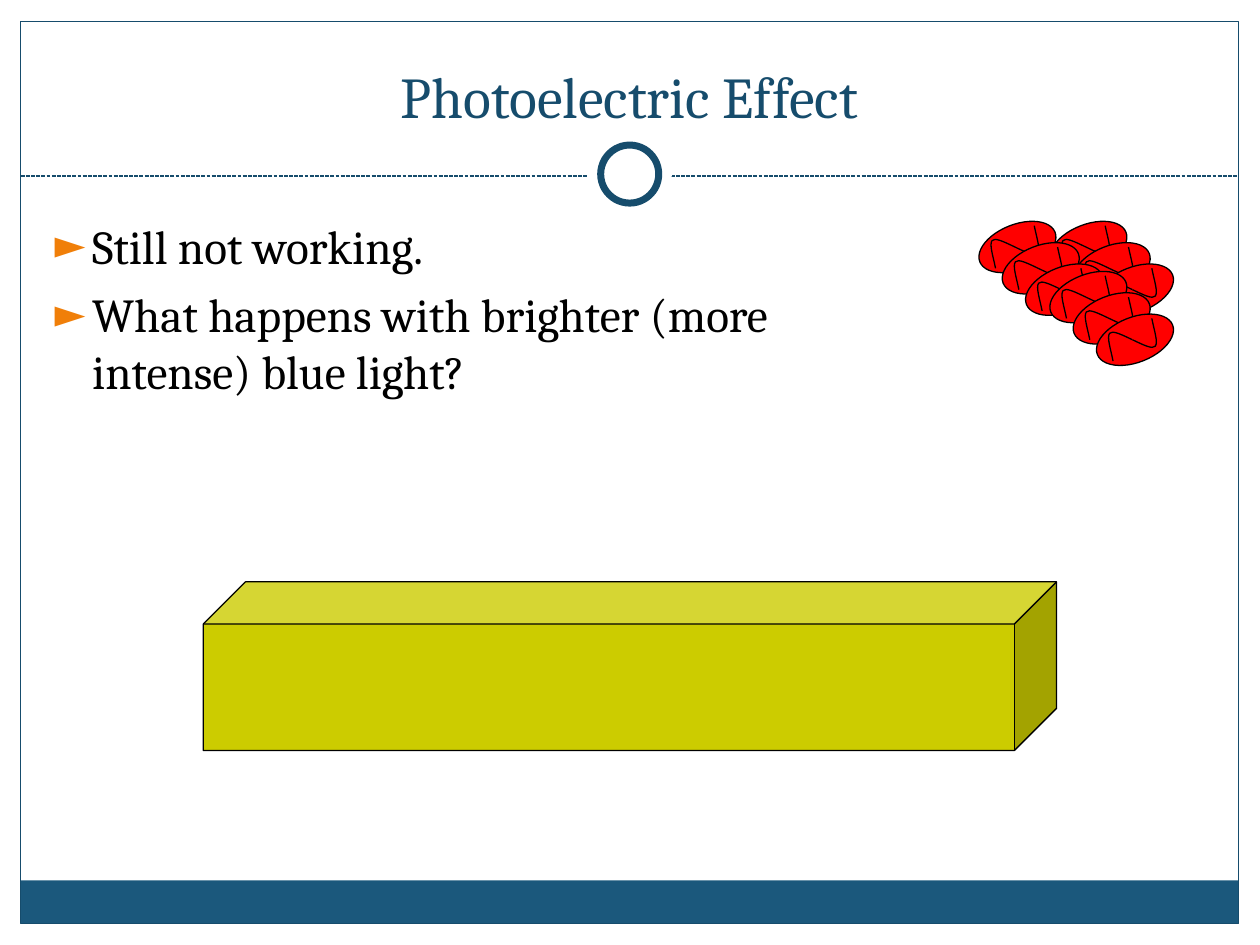
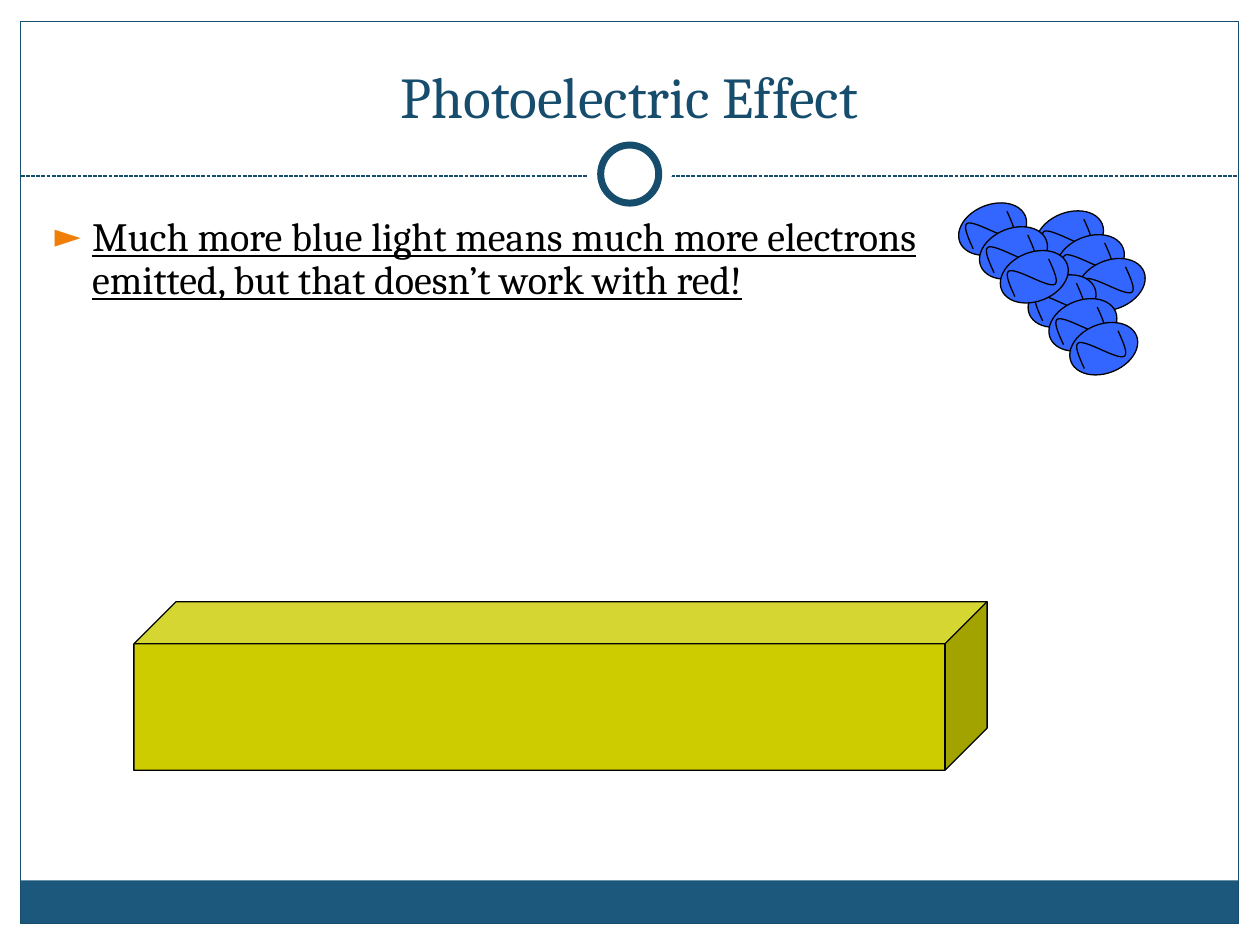
from lxml import etree
from pptx import Presentation
from pptx.dml.color import RGBColor
from pptx.enum.dml import MSO_LINE
from pptx.enum.shapes import MSO_CONNECTOR, MSO_SHAPE as Kind
from pptx.enum.text import MSO_ANCHOR, PP_ALIGN
from pptx.oxml.ns import qn
from pptx.util import Cm, Pt

WIDE, HIGH = 25.4, 19.05
INK = {"navy": "164C6C", "band": "1B587C", "white": "FFFFFF", "black": "000000",
       "red": "FF0000", "blue": "3366FF", "metal": "CCCC00", "mark": "F07F09"}
FONT = "Cambria"

# Lengths in cm. A wave is half an S: a start and two Bezier segments
# around its own centre; each chain is the centre of its first photon.
RED = {"fill": "red", "wave_fill": "red", "size": (0.91, 1.63), "shift": (-0.05, 0),
       "step": (0.47, 0.43), "chains": [(2.22, 0.53), (0.79, 0.53), (2.22, 1.54)],
       "wave": [(0, 0), (0.21, 0.1), (0.41, 0.2), (0.46, 0.13),
                (0.52, 0.05), (0.44, -0.18), (0.39, -0.43)]}
BLUE = {"fill": "blue", "wave_fill": None, "size": (0.99, 1.42), "shift": (-0.05, 0.02),
        "step": (0.42, 0.48), "chains": [(2.22, 0.69), (2.07, 1.98), (0.67, 0.53)],
        "wave": [(0, 0), (0.2, 0.09), (0.41, 0.18), (0.47, 0.13),
                 (0.54, 0.07), (0.45, -0.14), (0.34, -0.38)]}


def color(name):
    return RGBColor.from_string(INK[name])


def paint(shape, fill=None, line=None, width=0.75):
    shape.shadow.inherit = False
    if fill:
        shape.fill.solid()
        shape.fill.fore_color.rgb = color(fill)
    else:
        shape.fill.background()
    if line:
        shape.line.color.rgb = color(line)
        shape.line.width = Pt(width)
    else:
        shape.line.fill.background()
    return shape


def add(shapes, kind, box, **look):
    return paint(shapes.add_shape(kind, *map(Cm, box)), **look)


def style(para, size, ink, under=None):
    for run in para.runs:
        run.font.name = FONT
        run.font.size = Pt(size)
        run.font.underline = under
        run.font.color.rgb = color(ink)


def frame(slide, box):
    """White margins, footer band, border, dashed rule and the ring on it."""
    left, top, wide, high = box
    band, rule = 0.87, top + 3.12
    shapes = slide.shapes
    for margin in ((0, 0, WIDE, 3.86), (0, 0, left, HIGH),
                   (left + wide, 0, WIDE - left - wide, HIGH)):
        add(shapes, Kind.RECTANGLE, margin, fill="white")
    add(shapes, Kind.RECTANGLE, (left, top + high - band, wide, band), fill="band")
    add(shapes, Kind.RECTANGLE, box, line="navy")
    line = shapes.add_connector(MSO_CONNECTOR.STRAIGHT, Cm(left), Cm(rule),
                                Cm(left + wide), Cm(rule))
    line.line.color.rgb = color("navy")
    line.line.width = Pt(0.75)
    line.line.dash_style = MSO_LINE.SQUARE_DOT
    etree.SubElement(line._element.spPr, qn("a:effectLst"))
    mid_x, mid_y = left + wide / 2, rule - 0.04
    for size, edge in ((1.7, None), (1.17, "navy")):
        add(shapes, Kind.OVAL, (mid_x - size / 2, mid_y - size / 2, size, size),
            fill="white", line=edge, width=4)


def title(slide, box, text):
    body = slide.shapes.add_textbox(*map(Cm, box)).text_frame
    body.word_wrap = True
    body.vertical_anchor = MSO_ANCHOR.BOTTOM
    para = body.paragraphs[0]
    para.text = text
    para.alignment = PP_ALIGN.CENTER
    style(para, 33, "navy")


def bullet(para):
    props = para._p.get_or_add_pPr()
    props.set("marL", str(Cm(0.76)))
    props.set("indent", str(-Cm(0.76)))
    tint = etree.SubElement(props, qn("a:buClr"))
    etree.SubElement(tint, qn("a:srgbClr"), val=INK["mark"])
    etree.SubElement(props, qn("a:buSzPct"), val="85000")
    etree.SubElement(props, qn("a:buFont"), typeface=FONT)
    etree.SubElement(props, qn("a:buChar"), char="►")


def points(slide, box, lines, size, pitch=None, under=None):
    body = slide.shapes.add_textbox(*map(Cm, box)).text_frame
    body.word_wrap = True
    for i, text in enumerate(lines):
        para = body.add_paragraph() if i else body.paragraphs[0]
        para.text = text
        bullet(para)
        para.line_spacing = pitch
        if i:
            para.space_before = Pt(6.8)
        style(para, size, "black", under)


def curve(shapes, nodes):
    """Open freeform whose nodes, three by three, make Bezier segments."""
    dots = [(Cm(x), Cm(y)) for x, y in nodes]
    pen = shapes.build_freeform(*dots[0])
    pen.add_line_segments(dots[1:], close=False)
    shape = pen.convert_to_shape()
    sides = list(shape._element.iter(qn("a:lnTo")))
    for i in range(0, len(sides), 3):
        bend = etree.Element(qn("a:cubicBezTo"))
        sides[i].addprevious(bend)
        for side in sides[i:i + 3]:
            bend.append(side[0])
            side.getparent().remove(side)
    return shape


def photon(shapes, x, y, kind):
    """Tilted oval crossed by two opposite halves of a wave."""
    wide, high = kind["size"]
    oval = add(shapes, Kind.OVAL, (x - wide / 2, y - high / 2, wide, high),
               fill=kind["fill"], line="black")
    oval.rotation = 68.5
    mid_x, mid_y = x + kind["shift"][0], y + kind["shift"][1]
    for sign in (-1, 1):
        half = curve(shapes, [(mid_x + sign * a, mid_y + sign * b)
                              for a, b in kind["wave"]])
        paint(half, fill=kind["wave_fill"], line="black")


def light(slide, left, top, kind):
    """Three chains of three photons."""
    shapes = slide.shapes.add_group_shape().shapes
    step_x, step_y = kind["step"]
    for x, y in kind["chains"]:
        for i in range(3):
            photon(shapes, left + x + i * step_x, top + y + i * step_y, kind)


def metal(slide, left, top):
    add(slide.shapes, Kind.CUBE, (left, top, 17.2, 3.4), fill="metal", line="black")


def base(deck):
    slide = deck.slides.add_slide(deck.slide_layouts[6])
    frame(slide, (0.42, 0.43, 24.55, 18.19))
    title(slide, (0.84, 0.64, 23.7, 2.11), "Photoelectric Effect")
    return slide


def main():
    deck = Presentation()
    deck.slide_width, deck.slide_height = Cm(WIDE), Cm(HIGH)

    slide = base(deck)
    light(slide, 19.72, 4.45, RED)
    metal(slide, 4.1, 11.73)
    points(slide, (0.85, 4.25, 15.27, 4.09),
           ["Still not working.",
            "What happens with brighter (more intense) blue light?"], 27)

    slide = base(deck)
    light(slide, 19.34, 4.09, BLUE)
    metal(slide, 2.7, 12.13)
    points(slide, (0.85, 4.25, 18.06, 3.28),
           ["Much more blue light means much more electrons emitted, "
            "but that doesn’t work with red!"], 22.9, pitch=0.9, under=True)

    deck.save("out.pptx")


if __name__ == "__main__":
    main()
